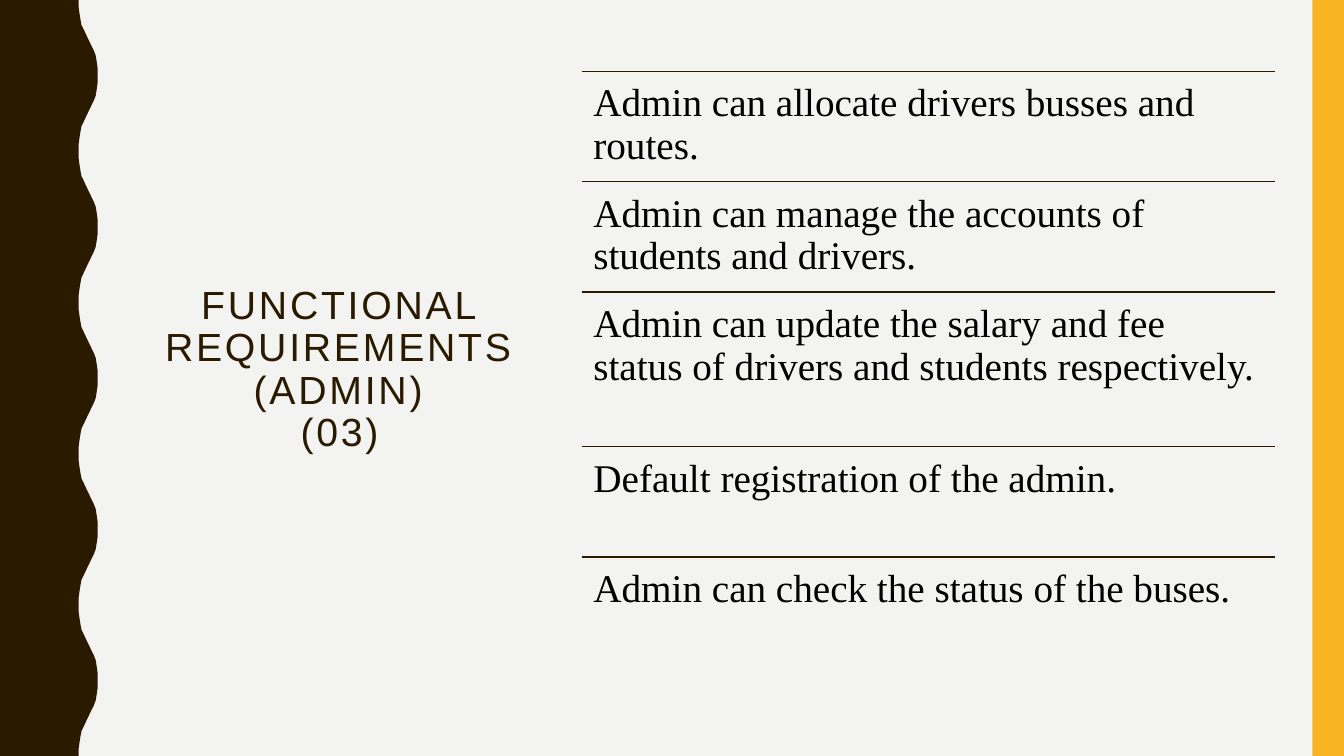
from lxml import etree
from pptx import Presentation
from pptx.dml.color import RGBColor
from pptx.enum.shapes import MSO_CONNECTOR, MSO_SHAPE
from pptx.enum.text import MSO_ANCHOR, MSO_AUTO_SIZE, PP_ALIGN
from pptx.oxml.ns import qn
from pptx.util import Pt

BROWN = RGBColor(0x2A, 0x1A, 0x00)
AMBER = RGBColor(0xF8, 0xB3, 0x23)
PAPER = RGBColor(0xF3, 0xF3, 0xF2)
BLACK = RGBColor(0x00, 0x00, 0x00)

SLIDE_W, SLIDE_H = 960, 540
LIST_X, LIST_W, LIST_Y = 415.5, 495.2, 51
ROW_H, TALL_ROW_H = 78.85, 110.4
REQUIREMENTS = [
    ("Admin can allocate drivers busses and routes.", ROW_H),
    ("Admin can manage the accounts of students and drivers.", ROW_H),
    ("Admin can update the salary and fee status of drivers and students respectively.", TALL_ROW_H),
    ("Default registration of the admin.", ROW_H),
    ("Admin can check the status of the buses.", ROW_H),
]

# Half a wave of the left edge, as (x, y) from trough to crest
WAVE_H = 108
HALF_WAVE = [
    (56.2, 0), (56.2, 5), (56.9, 10), (57.6, 14.4), (58.3, 18),
    (59.8, 21), (61.2, 24), (62.6, 27), (64.1, 30), (65.5, 33),
    (67, 36), (68.4, 39.6), (69.1, 44), (69.8, 49), (69.8, 54),
]


def paint(sp, color):
    sp.fill.solid()
    sp.fill.fore_color.rgb = color
    sp.line.fill.background()
    sp.shadow.inherit = False


def style_text(p, font, color):
    p.line_spacing = 0.9
    for r in p.runs:
        r.font.name = font
        r.font.size = Pt(28)
        r.font.color.rgb = color


prs = Presentation()
prs.slide_width, prs.slide_height = Pt(SLIDE_W), Pt(SLIDE_H)
s = prs.slides.add_slide(prs.slide_layouts[5])
s.background.fill.solid()
s.background.fill.fore_color.rgb = PAPER

# Wavy left band, drawn in hundredths of a point
wave = HALF_WAVE + [(x, WAVE_H - y) for x, y in reversed(HALF_WAVE[:-1])]
edge = [(x, y + top) for top in range(0, SLIDE_H, WAVE_H) for x, y in wave]
outline = [(x * 100, y * 100) for x, y in edge + [(0, SLIDE_H)]]
builder = s.shapes.build_freeform(0, 0, scale=Pt(1) / 100)
builder.add_line_segments(outline, close=True)
paint(builder.convert_to_shape(), BROWN)

# Right bar
bar = s.shapes.add_shape(MSO_SHAPE.RECTANGLE, Pt(937.5), 0, Pt(22.5), Pt(SLIDE_H))
paint(bar, AMBER)

# Title
title = s.shapes.title
title.left, title.top, title.width, title.height = Pt(98.6), Pt(51), Pt(288), Pt(427)
tf = title.text_frame
tf.text = "FUNCTIONAL REQUIREMENTS\v(ADMIN)\v(03)"
tf.word_wrap = True
tf.auto_size = MSO_AUTO_SIZE.NONE
tf.vertical_anchor = MSO_ANCHOR.MIDDLE
p = tf.paragraphs[0]
p.alignment = PP_ALIGN.CENTER
style_text(p, "Arial", BROWN)
for r in p.runs:
    r._r.get_or_add_rPr().set("spc", "200")

# Requirements, each under a rule
y = LIST_Y
for text, height in REQUIREMENTS:
    rule = s.shapes.add_connector(
        MSO_CONNECTOR.STRAIGHT, Pt(LIST_X), Pt(y), Pt(LIST_X + LIST_W), Pt(y))
    rule.line.color.rgb = BROWN
    rule.line.width = Pt(1)
    etree.SubElement(rule._element.spPr, qn("a:effectLst"))

    box = s.shapes.add_textbox(Pt(LIST_X), Pt(y), Pt(LIST_W), Pt(height))
    tf = box.text_frame
    tf.word_wrap = True
    tf.margin_left = tf.margin_top = tf.margin_right = tf.margin_bottom = Pt(8.4)
    tf.text = text
    p = tf.paragraphs[0]
    p.space_after = Pt(10)
    style_text(p, "Times New Roman", BLACK)
    y += height

prs.save("out.pptx")
